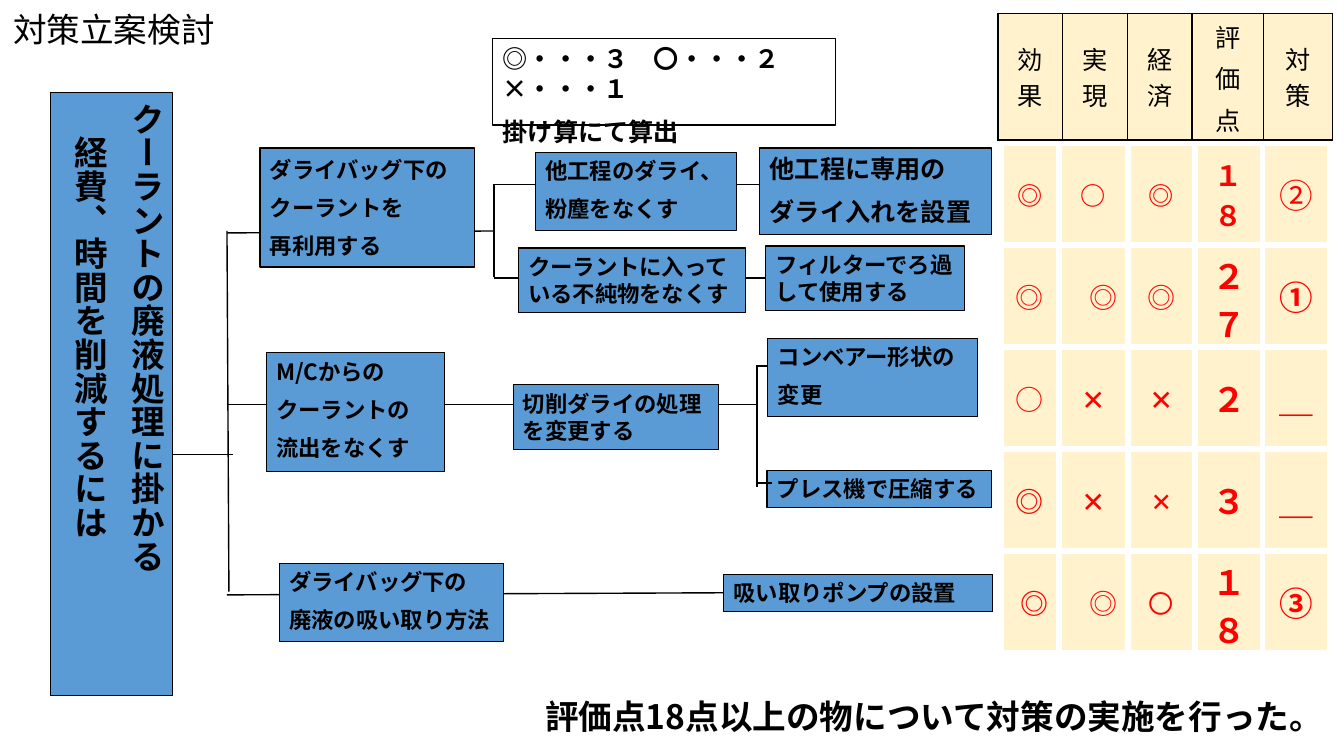
from dataclasses import dataclass

from lxml import etree
from pptx import Presentation
from pptx.dml.color import RGBColor
from pptx.enum.shapes import MSO_CONNECTOR, MSO_SHAPE
from pptx.enum.text import MSO_ANCHOR, PP_ALIGN
from pptx.oxml.ns import qn
from pptx.util import Cm, Pt

LINE, RECT = MSO_CONNECTOR.STRAIGHT, MSO_SHAPE.RECTANGLE
TOP, MIDDLE = MSO_ANCHOR.TOP, MSO_ANCHOR.MIDDLE
LEFT, CENTER, RIGHT = PP_ALIGN.LEFT, PP_ALIGN.CENTER, PP_ALIGN.RIGHT


@dataclass(frozen=True)
class Theme:
    font: str = "Noto Sans CJK JP"
    black: str = "000000"
    white: str = "FFFFFF"
    blue: str = "5B9BD5"
    cream: str = "FFF2CC"
    red: str = "FF0000"
    small: int = 16
    mid: int = 18
    mark: int = 20
    large: int = 24


THEME = Theme()


@dataclass(frozen=True)
class Box:
    x: float
    y: float
    w: float
    h: float
    lines: tuple[str, ...]
    size: int = THEME.small
    bold: bool = True
    fill: str = THEME.blue
    edge: float = 0.75
    anchor: MSO_ANCHOR = TOP
    tall: bool = False


@dataclass(frozen=True)
class Link:
    x1: float
    y1: float
    x2: float
    y2: float


@dataclass(frozen=True)
class Mark:
    lines: tuple[str, ...]
    size: int = THEME.mark
    bold: bool = False
    align: PP_ALIGN = CENTER
    color: str = THEME.red


@dataclass(frozen=True)
class Grid:
    x: float
    y: float
    cols: tuple[float, ...]
    row: float
    edge: float
    color: str
    rows: tuple[tuple[Mark, ...], ...]


def score(text: str) -> Mark:
    return Mark((text,), THEME.large, True)


def head(*lines: str) -> Mark:
    return Mark(lines, THEME.mid, color=THEME.black)


TITLE = Box(0.08, 0.1, 5.84, 1.27, ("対策立案検討",), THEME.large, False, "", 0)
GOAL = Box(1.27, 2.34, 3.07, 15.19,
           ("クーラントの廃液処理に掛かる", "経費、時間を削減するには"),
           THEME.large, tall=True)
LEGEND = Box(12.42, 0.97, 8.64, 2.18,
             ("◎・・・３　〇・・・２　×・・・１", "掛け算にて算出"),
             THEME.mid, fill="", edge=1)
NOTE = Box(13.49, 17.42, 20.14, 1.27,
           ("評価点18点以上の物について対策の実施を行った。",),
           THEME.large, fill=THEME.white, edge=0)
BOXES = (
    TITLE, GOAL, LEGEND,
    # Causes
    Box(6.55, 3.73, 5.41, 3, ("ダライバッグ下の", "クーラントを", "再利用する"),
        edge=1, anchor=MIDDLE),
    Box(6.71, 8.89, 4.5, 3, ("M/Cからの", "クーラントの", "流出をなくす")),
    Box(7.04, 14.2, 5.66, 1.96, ("ダライバッグ下の", "廃液の吸い取り方法")),
    # Approaches
    Box(13.49, 3.84, 5.08, 1.96, ("他工程のダライ、", "粉塵をなくす")),
    Box(13.06, 6.25, 5.74, 1.63, ("クーラントに入っている不純物をなくす",)),
    Box(12.93, 9.7, 5.18, 1.63, ("切削ダライの処理を変更する",)),
    # Measures
    Box(19.15, 3.73, 5.84, 2.18, ("他工程に専用の", "ダライ入れを設置"), THEME.mid),
    Box(19.3, 6.2, 5, 1.63, ("フィルターでろ過して使用する",)),
    Box(19.35, 8.53, 5.28, 1.96, ("コンベアー形状の", "変更")),
    Box(19.33, 11.86, 5.66, 0.94, ("プレス機で圧縮する",)),
    Box(18.24, 14.48, 6.78, 0.94, ("吸い取りポンプの設置",)),
    NOTE,
)
# Branches run behind the boxes, trunks and stubs in front
BACK = (
    Link(12.45, 7.01, 19.38, 7.01), Link(5.72, 14.99, 24.54, 14.91),
    Link(5.72, 5.87, 12.42, 5.82), Link(5.72, 10.19, 19.05, 10.19),
    Link(12.42, 4.65, 19.48, 4.65),
)
FRONT = (
    Link(5.72, 5.82, 5.77, 14.91), Link(4.37, 11.46, 5.87, 11.46),
    Link(12.45, 4.65, 12.45, 6.99), Link(19.08, 9.25, 19.08, 12.27),
    Link(19.05, 9.22, 19.35, 9.22), Link(19.46, 12.17, 19.05, 12.17),
)
BEST, GOOD, POOR = Mark(("◎",)), Mark(("○",)), Mark(("✕",))
SIDE = Mark(("◎",), align=RIGHT)
FIRST = Mark(("◎",), THEME.mid, True)
HEADS = Grid(25.15, 0.33, (1.63, 1.63, 1.63, 1.8, 1.73), 3.2, 1, THEME.black, (
    (head("効果"), head("実現"), head("経済"), head("評", "価", "点"), head("対策")),
))
SCORES = Grid(25.22, 3.61, (1.47, 1.73, 1.7, 1.7, 1.7), 2.57, 4.5, THEME.white, (
    (FIRST, Mark(("○",), THEME.mid, True), FIRST,
     Mark(("１８",), THEME.mark, True), Mark(("②",), THEME.large)),
    (BEST, SIDE, BEST, score("２７"), score("①")),
    (GOOD, POOR, POOR, score("２"), score("＿")),
    (Mark(("◎",), bold=True), POOR, Mark(("✕",), THEME.mid), score("３"), score("＿")),
    (Mark(("◎",), bold=True, align=RIGHT), SIDE, Mark(("〇",), THEME.mid),
     score("１８"), score("③")),
))


def rgb(code: str) -> RGBColor:
    return RGBColor.from_string(code)


def write(frame, lines: tuple[str, ...], size: int, bold: bool, color: str,
          align: PP_ALIGN, gap: float) -> None:
    for i, text in enumerate(lines):
        para = frame.paragraphs[0] if i == 0 else frame.add_paragraph()
        para.alignment = align
        para.space_before = Pt(size * gap)
        run = para.add_run()
        run.text = text
        font = run.font
        font.name, font.size, font.bold = THEME.font, Pt(size), bold
        font.color.rgb = rgb(color)
        etree.SubElement(font._element, qn("a:ea"), typeface=THEME.font)


def draw_box(shapes, box: Box) -> None:
    area = [Cm(v) for v in (box.x, box.y, box.w, box.h)]
    if box.fill or box.edge:
        shape = shapes.add_shape(RECT, *area)
        shape.shadow.inherit = False
    else:
        shape = shapes.add_textbox(*area)
    if box.fill:
        shape.fill.solid()
        shape.fill.fore_color.rgb = rgb(box.fill)
    else:
        shape.fill.background()
    if box.edge:
        shape.line.color.rgb = rgb(THEME.black)
        shape.line.width = Pt(box.edge)
    else:
        shape.line.fill.background()
    frame = shape.text_frame
    frame.word_wrap = True
    frame.vertical_anchor = box.anchor
    if box.tall:
        frame._txBody.bodyPr.set("vert", "eaVert")
        frame.margin_bottom = Cm(3.05)
    write(frame, box.lines, box.size, box.bold, THEME.black,
          CENTER if box.tall else LEFT, 0.5)


def draw_link(shapes, link: Link) -> None:
    line = shapes.add_connector(
        LINE, Cm(link.x1), Cm(link.y1), Cm(link.x2), Cm(link.y2))
    line.line.color.rgb = rgb(THEME.black)
    line.line.width = Pt(1)
    etree.SubElement(line._element.spPr, qn("a:effectLst"))


def draw_grid(shapes, grid: Grid) -> None:
    count = len(grid.rows)
    table = shapes.add_table(count, len(grid.cols), Cm(grid.x), Cm(grid.y),
                             Cm(sum(grid.cols)), Cm(grid.row * count)).table
    table.first_row = table.horz_banding = False
    for col, width in zip(table.columns, grid.cols):
        col.width = Cm(width)
    for r, marks in enumerate(grid.rows):
        for c, mark in enumerate(marks):
            cell = table.cell(r, c)
            props = cell._tc.get_or_add_tcPr()
            for side in ("lnL", "lnR", "lnT", "lnB"):
                edge = etree.SubElement(props, qn(f"a:{side}"), w=str(Pt(grid.edge)))
                paint = etree.SubElement(edge, qn("a:solidFill"))
                etree.SubElement(paint, qn("a:srgbClr"), val=grid.color)
            cell.fill.solid()
            cell.fill.fore_color.rgb = rgb(THEME.cream)
            cell.vertical_anchor = MIDDLE
            write(cell.text_frame, mark.lines, mark.size, mark.bold,
                  mark.color, mark.align, 0.2)


def main() -> None:
    deck = Presentation()
    deck.slide_width, deck.slide_height = Cm(33.87), Cm(19.05)
    shapes = deck.slides.add_slide(deck.slide_layouts[6]).shapes
    for link in BACK:
        draw_link(shapes, link)
    for box in BOXES:
        draw_box(shapes, box)
    for grid in (SCORES, HEADS):
        draw_grid(shapes, grid)
    for link in FRONT:
        draw_link(shapes, link)
    deck.save("out.pptx")


if __name__ == "__main__":
    main()
